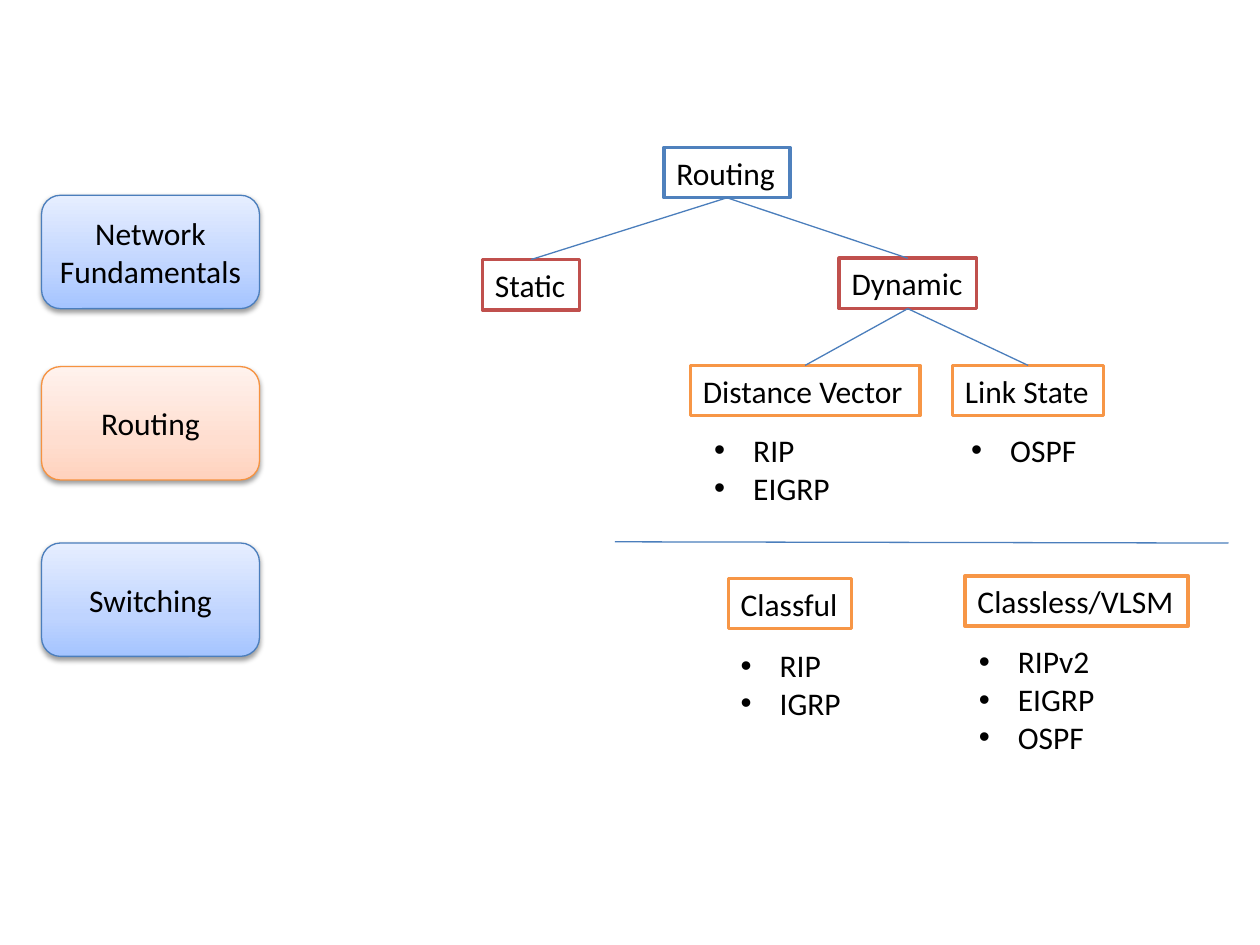
from lxml import etree
from pptx import Presentation
from pptx.dml.color import RGBColor
from pptx.enum.shapes import MSO_CONNECTOR, MSO_SHAPE
from pptx.enum.text import MSO_ANCHOR, MSO_AUTO_SIZE, PP_ALIGN
from pptx.oxml.ns import qn
from pptx.util import Inches, Pt

STRAIGHT = MSO_CONNECTOR.STRAIGHT
RECTANGLE = MSO_SHAPE.RECTANGLE
ROUNDED = MSO_SHAPE.ROUNDED_RECTANGLE
MIDDLE = MSO_ANCHOR.MIDDLE
TOP = MSO_ANCHOR.TOP
CENTER = PP_ALIGN.CENTER
LEFT = PP_ALIGN.LEFT
FIT_SHAPE = MSO_AUTO_SIZE.SHAPE_TO_FIT_TEXT
TOP_SITE, BOTTOM_SITE = 0, 2

BLUE, RED, ORANGE = "4F81BD", "C0504D", "F79646"
LINE_BLUE, LINE_ORANGE = "4B7EBC", "F69240"
BLUE_STOPS = [(0, "A4C4FF"), (35, "BFD4FF"), (100, "E6EEFF")]
ORANGE_STOPS = [(0, "FFD2BD"), (35, "FFDED0"), (100, "FFF2ED")]


def color(value):
    return RGBColor.from_string(value)


def add_color(parent, value):
    return etree.SubElement(parent, qn("a:srgbClr"), val=value)


class Diagram:
    font = "Calibri"
    size = Pt(18)
    ink = "000000"
    thin = Pt(0.75)
    thick = Pt(2)

    def __init__(self, slide):
        self.slide = slide

    def set_text(self, shape, lines, alignment=LEFT):
        frame = shape.text_frame
        frame.text = "\n".join(lines)
        for paragraph in frame.paragraphs:
            paragraph.alignment = alignment
            paragraph.font.name = self.font
            paragraph.font.size = self.size
            paragraph.font.color.rgb = color(self.ink)
        return frame

    def hug(self, frame):
        frame.word_wrap = False
        frame.auto_size = FIT_SHAPE
        frame.vertical_anchor = TOP

    def topic(self, text, top, stops, line):
        shape = self.slide.shapes.add_shape(
            ROUNDED, Inches(0.33), Inches(top), Inches(1.73), Inches(0.9))
        shape.fill.gradient()
        shape.fill.gradient_angle = 90
        properties = shape._element.spPr
        stop_list = properties.find(".//" + qn("a:gsLst"))
        for old_stop in list(stop_list):
            stop_list.remove(old_stop)
        for position, value in stops:
            stop = etree.SubElement(stop_list, qn("a:gs"), pos=str(position * 1000))
            add_color(stop, value)
        shape.line.color.rgb = color(line)
        shape.line.width = self.thin
        shape.shadow.inherit = False
        shadow = etree.SubElement(
            properties.find(qn("a:effectLst")), qn("a:outerShdw"),
            blurRad=str(Pt(3.1)), dist=str(Pt(1.6)), dir="5400000", rotWithShape="0")
        etree.SubElement(add_color(shadow, self.ink), qn("a:alpha"), val="38000")
        frame = self.set_text(shape, [text], CENTER)
        frame.word_wrap = True
        frame.vertical_anchor = MIDDLE

    def node(self, text, left, top, width, line):
        shape = self.slide.shapes.add_shape(
            RECTANGLE, Inches(left), Inches(top), Inches(width), Inches(0.4))
        shape.shadow.inherit = False
        shape.fill.solid()
        shape.fill.fore_color.rgb = color("FFFFFF")
        shape.line.color.rgb = color(line)
        shape.line.width = self.thick
        self.hug(self.set_text(shape, [text]))
        return shape

    def bullets(self, lines, left, top, width):
        height = 0.1 + 0.3 * len(lines)
        shape = self.slide.shapes.add_textbox(
            Inches(left), Inches(top), Inches(width), Inches(height))
        frame = self.set_text(shape, lines)
        self.hug(frame)
        indent = Inches(0.31)
        for paragraph in frame.paragraphs:
            properties = paragraph._p.get_or_add_pPr()
            properties.set("marL", str(indent))
            properties.set("indent", str(-indent))
            bullet_font = etree.Element(qn("a:buFont"), typeface="Arial")
            bullet = etree.Element(qn("a:buChar"), char="•")
            properties.insert(0, bullet_font)
            properties.insert(1, bullet)

    def line(self, start, end):
        connector = self.slide.shapes.add_connector(
            STRAIGHT, *(Inches(length) for length in start + end))
        connector.line.color.rgb = color(LINE_BLUE)
        connector.line.width = self.thin
        etree.SubElement(connector._element.spPr, qn("a:effectLst"))
        return connector

    def branch(self, parent, child):
        connector = self.line((0, 0), (0, 0))
        connector.begin_connect(child, TOP_SITE)
        connector.end_connect(parent, BOTTOM_SITE)


presentation = Presentation()
presentation.slide_width = Inches(10)
presentation.slide_height = Inches(7.5)
diagram = Diagram(presentation.slides.add_slide(presentation.slide_layouts[6]))

diagram.topic("Network Fundamentals", 1.55, BLUE_STOPS, LINE_BLUE)
diagram.topic("Routing", 2.91, ORANGE_STOPS, LINE_ORANGE)
diagram.topic("Switching", 4.31, BLUE_STOPS, LINE_BLUE)

routing = diagram.node("Routing", 5.27, 1.17, 1, BLUE)
static = diagram.node("Static", 3.83, 2.06, 0.77, RED)
dynamic = diagram.node("Dynamic", 6.66, 2.05, 1.09, RED)
distance_vector = diagram.node("Distance Vector", 5.48, 2.9, 1.82, ORANGE)
link_state = diagram.node("Link State", 7.56, 2.9, 1.2, ORANGE)
diagram.node("Classful", 5.78, 4.59, 0.98, ORANGE)
diagram.node("Classless/VLSM", 7.66, 4.57, 1.77, ORANGE)

diagram.bullets(["RIP", "EIGRP"], 5.57, 3.37, 1.13)
diagram.bullets(["OSPF"], 7.61, 3.37, 1.04)
diagram.bullets(["RIP", "IGRP"], 5.78, 5.08, 1)
diagram.bullets(["RIPv2", "EIGRP", "OSPF"], 7.67, 5.05, 1.13)

diagram.line((4.88, 4.3), (9.75, 4.31))
for parent, child in [(routing, static), (routing, dynamic),
                      (dynamic, distance_vector), (dynamic, link_state)]:
    diagram.branch(parent, child)

presentation.save("out.pptx")
